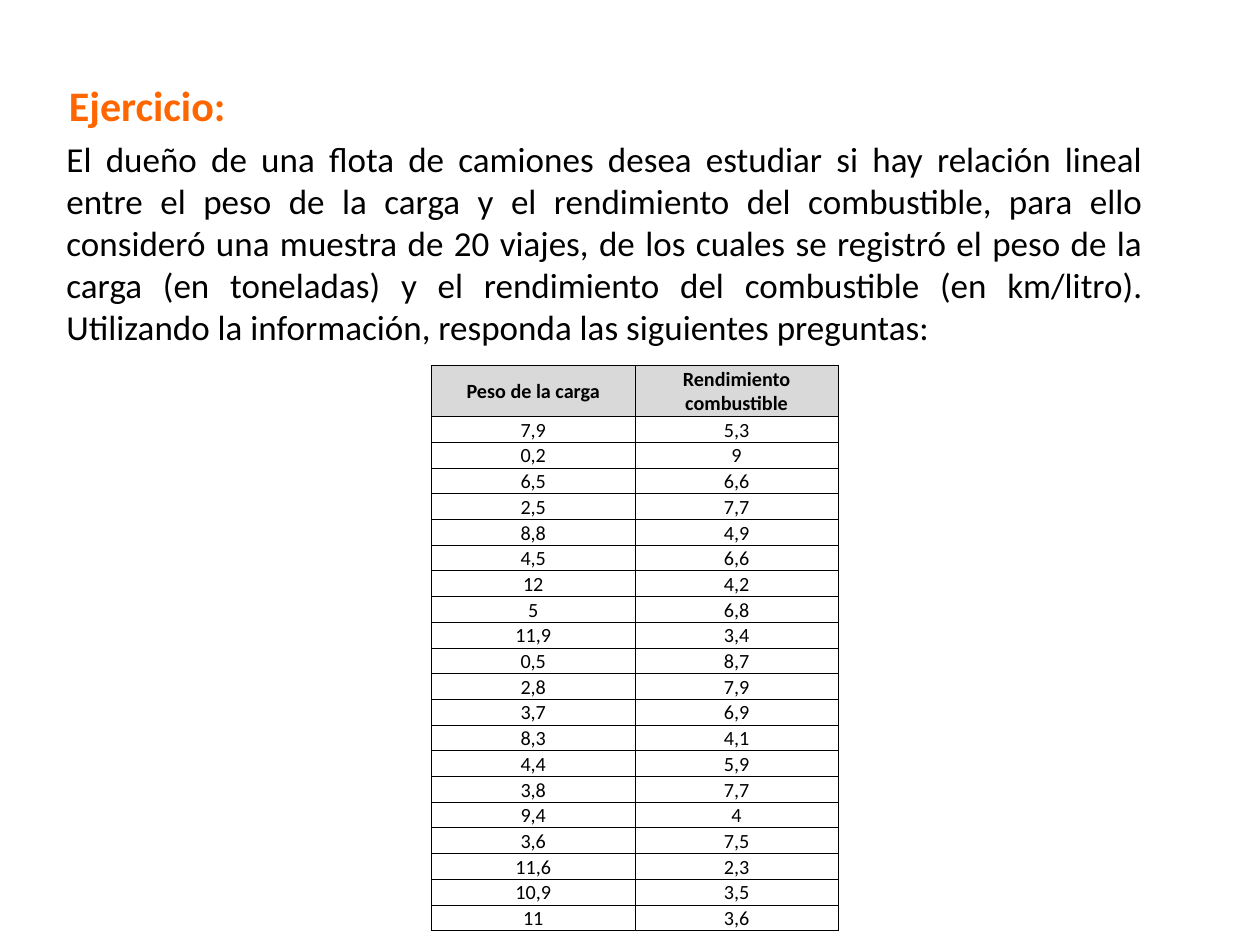
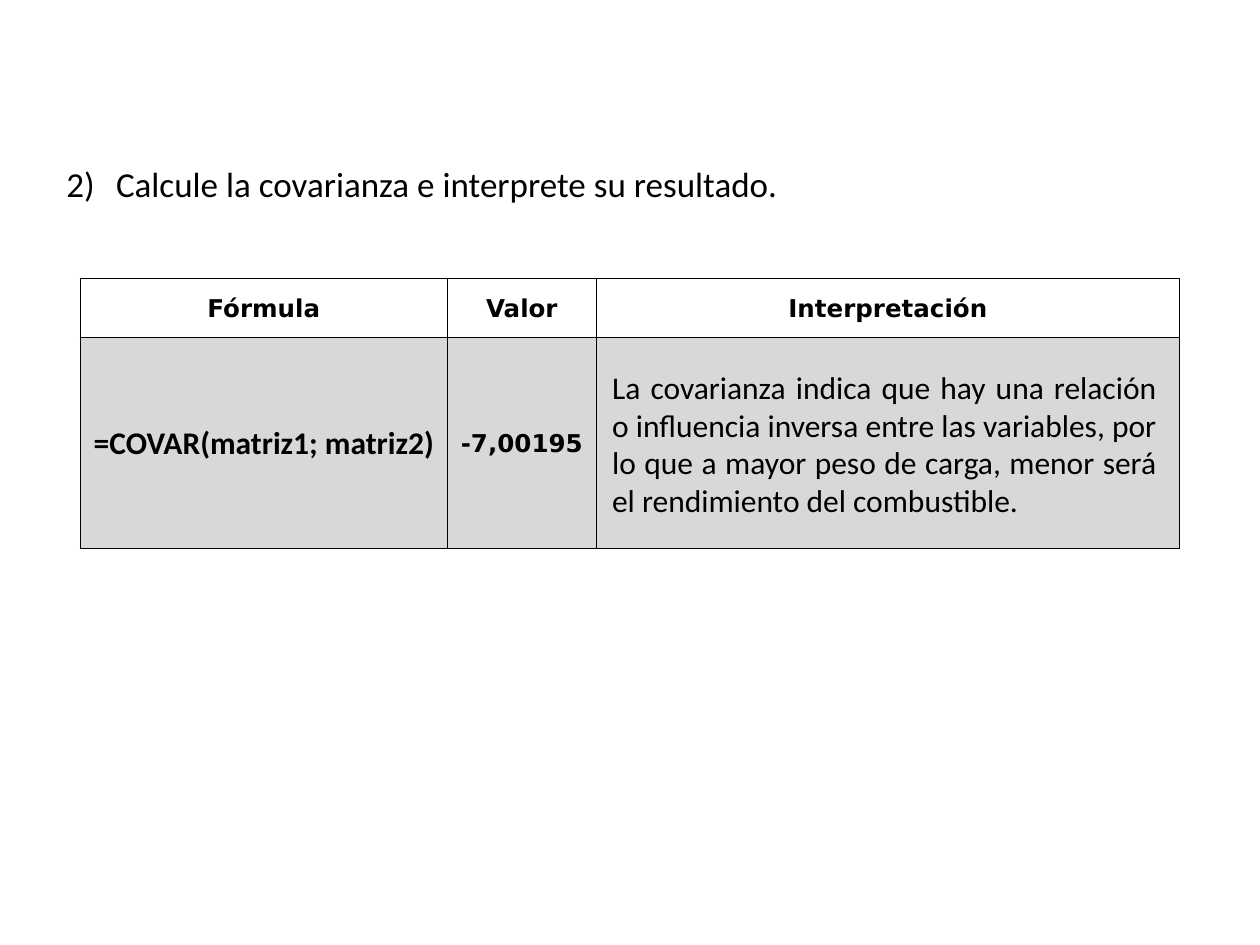
from dataclasses import dataclass

from lxml.etree import SubElement
from pptx import Presentation
from pptx.dml.color import RGBColor
from pptx.enum.text import MSO_ANCHOR, MSO_AUTO_SIZE, PP_ALIGN
from pptx.oxml.ns import qn
from pptx.slide import Slide
from pptx.table import _Cell as Cell
from pptx.text.text import _Paragraph as Paragraph
from pptx.util import Cm, Pt

BLACK = RGBColor(0x00, 0x00, 0x00)
WHITE = RGBColor(0xFF, 0xFF, 0xFF)
ORANGE = RGBColor(0xFF, 0x66, 0x00)
HEADER_GRAY = RGBColor(0xD9, 0xD9, 0xD9)
RESULT_GRAY = RGBColor(0xD8, 0xD8, 0xD8)

TEXT_LEFT = 1.09
CELL_INSET = Cm(0.03)
BORDER_WIDTH = Pt(0.5)

STATEMENT = (
    "El dueño de una flota de camiones desea estudiar si hay relación lineal entre el peso "
    "de la carga y el rendimiento del combustible, para ello consideró una muestra de 20 "
    "viajes, de los cuales se registró el peso de la carga (en toneladas) y el rendimiento "
    "del combustible (en km/litro). Utilizando la información, responda las siguientes preguntas:"
)
INTERPRETATION = (
    "La covarianza indica que hay una relación o influencia inversa entre las variables, "
    "por lo que a mayor peso de carga, menor será el rendimiento del combustible."
)
TRIPS = [
    ("7,9", "5,3"), ("0,2", "9"), ("6,5", "6,6"), ("2,5", "7,7"), ("8,8", "4,9"),
    ("4,5", "6,6"), ("12", "4,2"), ("5", "6,8"), ("11,9", "3,4"), ("0,5", "8,7"),
    ("2,8", "7,9"), ("3,7", "6,9"), ("8,3", "4,1"), ("4,4", "5,9"), ("3,8", "7,7"),
    ("9,4", "4"), ("3,6", "7,5"), ("11,6", "2,3"), ("10,9", "3,5"), ("11", "3,6"),
]


@dataclass(frozen=True)
class TextStyle:
    """Font settings of a run."""
    size: float
    bold: bool = False
    color: RGBColor = BLACK
    font: str = "Calibri"


@dataclass(frozen=True)
class TextBlock:
    """A justified text box, placed in centimetres."""
    text: str
    left: float
    top: float
    width: float
    height: float
    style: TextStyle


@dataclass(frozen=True)
class TableRow:
    """A table row with one style per cell."""
    texts: tuple[str, ...]
    styles: tuple[TextStyle, ...]
    height: float
    fill: RGBColor


TITLE = TextStyle(24, bold=True, color=ORANGE)
BODY = TextStyle(20)
NOTE = TextStyle(18)
DATA = TextStyle(11.5)
DATA_HEADER = TextStyle(11.5, bold=True)
FORMULA = TextStyle(18, bold=True)
RESULT = TextStyle(14, bold=True, font="DejaVu Sans")


def write(para: Paragraph, text: str, style: TextStyle, align: PP_ALIGN) -> None:
    """Put styled text in a paragraph."""
    para.text = text
    para.alignment = align
    for span in para.runs:
        span.font.name = style.font
        span.font.size = Pt(style.size)
        span.font.bold = style.bold
        span.font.color.rgb = style.color


def add_text(page: Slide, block: TextBlock) -> Paragraph:
    """Add a text box and return its paragraph."""
    box = page.shapes.add_textbox(
        Cm(block.left), Cm(block.top), Cm(block.width), Cm(block.height))
    frame = box.text_frame
    frame.word_wrap = True
    frame.auto_size = MSO_AUTO_SIZE.SHAPE_TO_FIT_TEXT
    write(frame.paragraphs[0], block.text, block.style, PP_ALIGN.JUSTIFY)
    return frame.paragraphs[0]


def number(para: Paragraph, start: int, indent: float) -> None:
    """Number a paragraph with a hanging indent."""
    properties = para._p.get_or_add_pPr()
    properties.set("marL", str(Cm(indent)))
    properties.set("indent", str(-Cm(indent)))
    SubElement(properties, qn("a:buAutoNum"), type="arabicParenR", startAt=str(start))


def add_borders(cell: Cell) -> None:
    """Draw a thin black line on each side of a cell."""
    properties = cell._tc.get_or_add_tcPr()
    for side in ("lnL", "lnR", "lnT", "lnB"):
        line = SubElement(properties, qn(f"a:{side}"), w=str(BORDER_WIDTH))
        SubElement(SubElement(line, qn("a:solidFill")), qn("a:srgbClr"), val=str(BLACK))


def add_grid(page: Slide, left: float, top: float, widths: tuple[float, ...],
             rows: list[TableRow]) -> None:
    """Add a bordered table with centred cells."""
    height = sum(row.height for row in rows)
    table = page.shapes.add_table(
        len(rows), len(widths), Cm(left), Cm(top), Cm(sum(widths)), Cm(height)).table
    table.first_row = table.horz_banding = False
    for column, width in zip(table.columns, widths):
        column.width = Cm(width)
    for table_row, row in zip(table.rows, rows):
        table_row.height = Cm(row.height)
        for cell, text, style in zip(table_row.cells, row.texts, row.styles):
            cell.margin_left = cell.margin_top = cell.margin_right = CELL_INSET
            cell.margin_bottom = 0
            cell.vertical_anchor = MSO_ANCHOR.MIDDLE
            add_borders(cell)
            cell.fill.solid()
            cell.fill.fore_color.rgb = row.fill
            write(cell.text_frame.paragraphs[0], text, style, PP_ALIGN.CENTER)


def build_exercise(page: Slide) -> None:
    """Show the exercise statement and the trip data."""
    add_text(page, TextBlock("Ejercicio:", 1.14, 1.47, 4.32, 1.27, TITLE))
    add_text(page, TextBlock(STATEMENT, TEXT_LEFT, 2.64, 22.2, 4.52, BODY))
    header = TableRow(("Peso de la carga", "Rendimiento combustible"),
                      (DATA_HEADER,) * 2, 1.03, HEADER_GRAY)
    trips = [TableRow(trip, (DATA,) * 2, 0.51, WHITE) for trip in TRIPS]
    add_grid(page, 8.7, 7.37, (4.1, 4.1), [header, *trips])


def build_covariance(page: Slide) -> None:
    """Show the covariance and its interpretation."""
    question = add_text(page, TextBlock(
        "Calcule la covarianza e interprete su resultado.", TEXT_LEFT, 3.15, 23.2, 1.12, BODY))
    number(question, start=2, indent=1)
    add_grid(page, 1.62, 5.61, (7.4, 3, 11.76), [
        TableRow(("Fórmula", "Valor", "Interpretación"), (RESULT,) * 3, 1.2, WHITE),
        TableRow(("=COVAR(matriz1; matriz2)", "-7,00195", ""),
                 (FORMULA, RESULT, NOTE), 4.24, RESULT_GRAY),
    ])
    add_text(page, TextBlock(INTERPRETATION, 12.09, 7.29, 11.48, 3.33, NOTE))


def main() -> None:
    """Build and save the deck."""
    deck = Presentation()
    deck.slide_width, deck.slide_height = Cm(25.4), Cm(19.05)
    for build in (build_exercise, build_covariance):
        build(deck.slides.add_slide(deck.slide_layouts[6]))
    deck.save("out.pptx")


if __name__ == "__main__":
    main()
